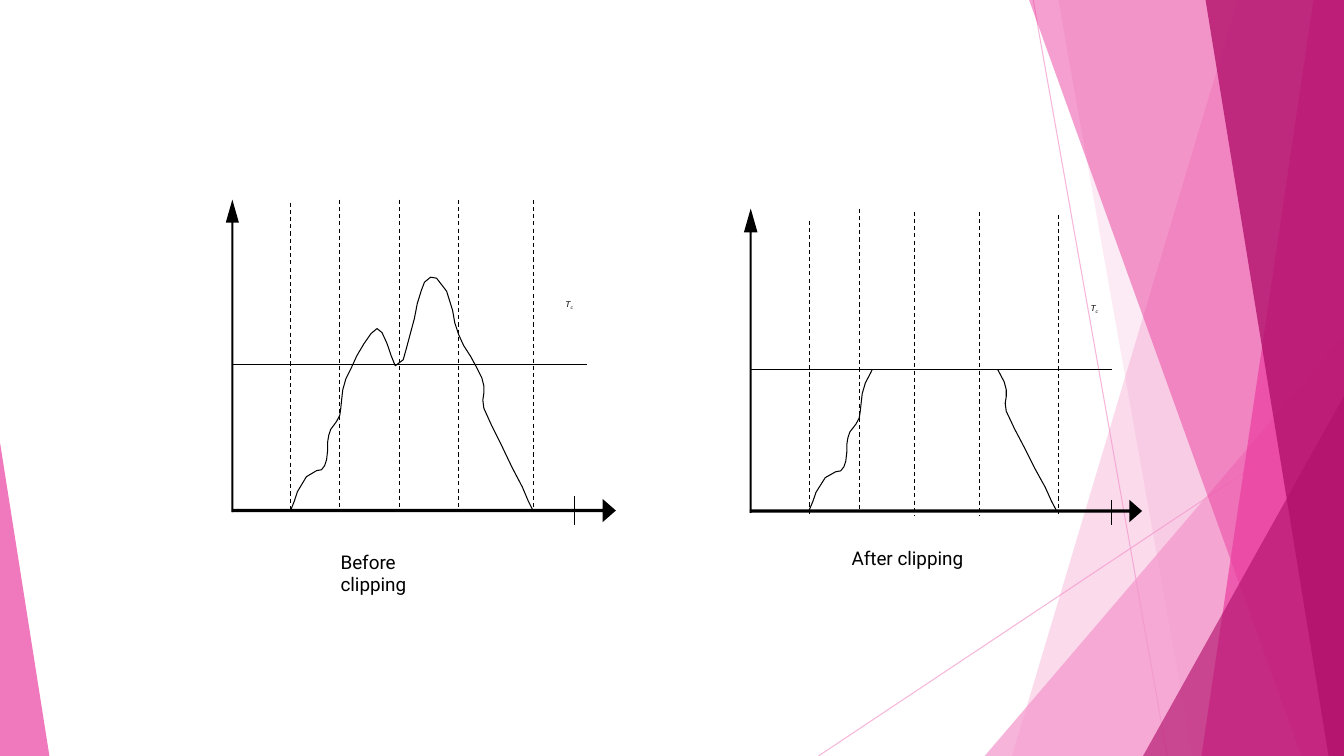
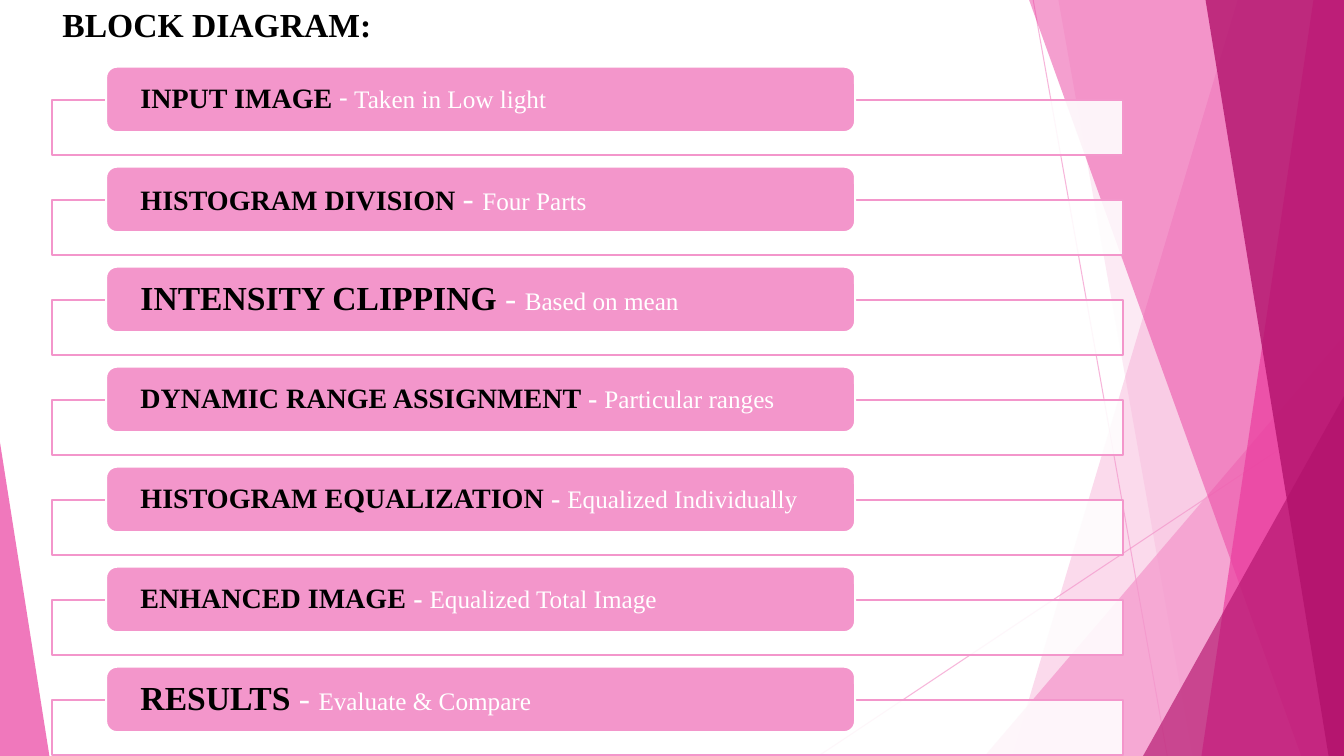
"""Build two slides on histogram clipping and its block diagram."""
import itertools

import lxml.etree
import pptx
import pptx.dml.color
import pptx.enum.dml
import pptx.enum.shapes
import pptx.enum.text
import pptx.oxml.ns
import pptx.util

Pt = pptx.util.Pt
SHAPES = pptx.enum.shapes.MSO_SHAPE
ANCHOR = pptx.enum.text.MSO_ANCHOR
WIDTH, HEIGHT = 960, 540
SERIF, SANS, LABEL = "Times New Roman", "Roboto", "Arial"
COLORS = {
    "black": "000000",
    "white": "FFFFFF",
    "light": "F496CB",
    "tab": "F396CB",
    "pink": "EA3C9E",
    "deep": "B2126C",
}

CURVE = [
    (0, 0), (2.9, 7.2), (5, 13.7), (11.5, 24.5), (18.7, 28.8), (22.3, 29.5),
    (24.5, 32.4), (25.9, 36.7), (26.6, 43.2), (26.6, 49), (27.4, 54),
    (28.8, 58.3), (31, 61.2), (33.1, 64.1), (35.3, 68.4), (36, 73.4),
    (36.7, 79.9), (37.4, 86.4), (39.6, 94.3), (43.2, 101.5), (47.5, 110.9),
    (52.6, 119.5), (57.6, 126.7), (61.9, 130.3), (65.5, 127.4), (69.1, 119.5),
    (72, 110.9), (74.9, 103.7), (80.6, 108), (82.8, 115.9), (85.7, 126.7),
    (88.6, 137.5), (90.7, 148.3), (93.6, 157.7), (95.8, 163.4), (100.1, 167),
    (104.4, 166.3), (111.6, 157), (115.9, 143.3), (117.4, 134.6), (120.2, 126),
    (123.8, 118.1), (128.9, 110.2), (133.2, 102.2), (136.8, 95), (138.2, 89.3),
    (138.2, 84.2), (137.5, 79.2), (138.2, 73.4), (141.1, 67), (144, 60.5),
    (147.6, 53.3), (151.2, 46.1), (158.4, 31), (165.6, 17.3), (169.9, 7.2),
    (173.5, 0),
]

PLOTS = [
    {
        "origin": (207.4, 365), "scale": (1, 1), "clipped": False,
        "guides": [(207.4, 144.7, 365), (242.6, 142.6, 365), (285.1, 142.6, 365),
                   (327.6, 142.6, 365), (380.9, 142.6, 363)],
        "level": (166.3, 419, 260.6), "tick": (410.4, 354.2, 375.1),
        "across": (165.6, 356.4, 274.3, 16.6), "upward": (161.3, 142.6, 9.4, 223.2),
        "label": (403.9, 213.8, 12.2, 29.5),
        "caption": ("Before clipping", (236.2, 389.5, 93.6, 40.3)),
    },
    {
        "origin": (577.8, 365), "scale": (1.02, 0.97), "clipped": True,
        "guides": [(578.2, 157.7, 367.2), (614.2, 149, 365), (653, 151.2, 367.9),
                   (699.8, 151.2, 367.9), (756, 153.4, 367.2)],
        "level": (535.7, 794.2, 264.2), "tick": (794.2, 357.1, 375.1),
        "across": (535.7, 357.1, 280.1, 15.8), "upward": (531.4, 149, 9.7, 217.4),
        "label": (779, 216.7, 12.2, 28.1),
        "caption": ("After clipping", (601.2, 386.6, 123.1, 23.8)),
    },
]

STEPS = [
    ("INPUT IMAGE ", 20, SANS, False, "Taken in Low light"),
    ("HISTOGRAM DIVISION ", 20, SERIF, False, "Four Parts"),
    ("INTENSITY CLIPPING ", 24, SERIF, False, "Based on mean"),
    ("DYNAMIC RANGE ASSIGNMENT ", 20, SERIF, True, "Particular ranges"),
    ("HISTOGRAM EQUALIZATION ", 20, SERIF, True, "Equalized Individually"),
    ("ENHANCED IMAGE ", 20, SERIF, True, "Equalized Total Image"),
    ("RESULTS ", 24, SERIF, False, "Evaluate & Compare"),
]


def rgb(name):
    """Return the named colour."""
    return pptx.dml.color.RGBColor.from_string(COLORS[name])


def set_alpha(shape, percent):
    """Make the first colour of a shape partly transparent."""
    color = shape.element.xpath(".//a:srgbClr")[0]
    alpha = lxml.etree.SubElement(color, pptx.oxml.ns.qn("a:alpha"))
    alpha.set("val", str(percent * 1000))


def paint(shape, fill=None, line=None, weight=0.75, alpha=100):
    """Set the fill and outline of a shape and drop its shadow."""
    shape.shadow.inherit = False
    if fill:
        shape.fill.solid()
        shape.fill.fore_color.rgb = rgb(fill)
    else:
        shape.fill.background()
    if line:
        shape.line.color.rgb = rgb(line)
        shape.line.width = Pt(weight)
    else:
        shape.line.fill.background()
    if alpha < 100:
        set_alpha(shape, alpha)


def add_preset(page, kind, frame, adjustments=(), **style):
    """Add a painted preset shape."""
    shape = page.shapes.add_shape(kind, *map(Pt, frame))
    for index, value in enumerate(adjustments):
        shape.adjustments[index] = value
    paint(shape, **style)
    return shape


def add_outline(page, points, close=False, **style):
    """Add a painted freeform through the points."""
    start, *rest = [(Pt(x), Pt(y)) for x, y in points]
    builder = page.shapes.build_freeform(*start)
    builder.add_line_segments(rest, close=close)
    paint(builder.convert_to_shape(), **style)


def add_line(page, start, end, color="black", weight=0.75, dashed=False):
    """Add a straight line without a shadow."""
    line = page.shapes.add_connector(
        pptx.enum.shapes.MSO_CONNECTOR.STRAIGHT, *map(Pt, start + end))
    line.line.color.rgb = rgb(color)
    line.line.width = Pt(weight)
    if dashed:
        line.line.dash_style = pptx.enum.dml.MSO_LINE.DASH
    properties = line.element.xpath("p:spPr")[0]
    lxml.etree.SubElement(properties, pptx.oxml.ns.qn("a:effectLst"))
    return line


def set_frame(frame, insets, anchor=ANCHOR.TOP):
    """Set wrapping, insets and anchor of a text frame."""
    frame.word_wrap = True
    frame.auto_size = pptx.enum.text.MSO_AUTO_SIZE.NONE
    frame.margin_left = frame.margin_right = Pt(insets[0])
    frame.margin_top = frame.margin_bottom = Pt(insets[1])
    frame.vertical_anchor = anchor


def add_span(para, text, size, font, color="black", bold=False, italic=False):
    """Add a formatted run to a paragraph."""
    span = para.add_run()
    span.text = text
    span.font.size = Pt(size)
    span.font.name = font
    span.font.bold = bold
    span.font.italic = italic
    span.font.color.rgb = rgb(color)
    return span


def add_text(page, frame, insets):
    """Add a text box and return its first paragraph."""
    box = page.shapes.add_textbox(*map(Pt, frame))
    set_frame(box.text_frame, insets)
    return box.text_frame.paragraphs[0]


def add_blade(page, color, alpha, top, bottom):
    """Add a band from a slanted left edge to the right side."""
    points = [(top, 0), (WIDTH, 0), (WIDTH, HEIGHT), (bottom, HEIGHT)]
    add_outline(page, points, close=True, fill=color, alpha=alpha)


def add_wedge(page, color, alpha, left, top, right=WIDTH, apex=1):
    """Add a right-angled triangle that stands on the bottom edge."""
    add_preset(page, SHAPES.ISOSCELES_TRIANGLE,
               (left, top, right - left, HEIGHT - top), [apex], fill=color, alpha=alpha)


def decorate_master(deck, page):
    """Draw the shared facets on a blank page and move them to the master."""
    for start, end in [((738, 0), (833.8, HEIGHT)), ((WIDTH, 290.2), (584.6, HEIGHT))]:
        set_alpha(add_line(page, start, end, "light"), 69)
    add_blade(page, "light", 35, 884.2, 722.9)
    add_blade(page, "light", 20, 756, 851.8)
    add_wedge(page, "light", 71, 703.4, 239.8)
    add_blade(page, "pink", 49, 735.1, 929.5)
    add_blade(page, "pink", 69, 938.2, 858.2)
    add_blade(page, "deep", 80, 861.1, 949)
    add_wedge(page, "deep", 65, 816.5, 283)
    add_wedge(page, "pink", 69, 0, 316.1, right=35.3, apex=0)
    for number, shape in enumerate(list(page.shapes), start=100):
        shape.element.xpath(".//p:cNvPr")[0].set("id", str(number))
        deck.slide_master.shapes.element.append(shape.element)


def cut_at(points, level):
    """Return the leading points below the level, ending on the level."""
    below = list(itertools.takewhile(lambda point: point[1] > level, points))
    (x1, y1), (x2, y2) = below[-1], points[len(below)]
    return below + [(x1 + (x2 - x1) * (level - y1) / (y2 - y1), level)]


def add_plot(page, plot):
    """Add one histogram with its axes, guides, threshold and caption."""
    left, base = plot["origin"]
    across, up = plot["scale"]
    start, end, level = plot["level"]
    points = [(left + x * across, base - y * up) for x, y in CURVE]
    curves = [points]
    if plot["clipped"]:
        curves = [cut_at(points, level), cut_at(points[::-1], level)]
    for curve in curves:
        add_outline(page, curve, line="black")
    for x, top, bottom in plot["guides"]:
        add_line(page, (x, top), (x, bottom), dashed=True)
    add_line(page, (start, level), (end, level))
    x, top, bottom = plot["tick"]
    add_line(page, (x, top), (x, bottom), weight=0.81)
    add_preset(page, SHAPES.RIGHT_ARROW, plot["across"], [0.14, 0.57], fill="black")
    add_preset(page, SHAPES.UP_ARROW, plot["upward"], [0.15, 1.75], fill="black")
    para = add_text(page, plot["label"], (0, 0))
    add_span(para, "T", 6, LABEL, italic=True)
    index = add_span(para, "c", 6, LABEL, italic=True)
    index.font._element.set("baseline", "-25000")
    caption, frame = plot["caption"]
    add_span(add_text(page, frame, (7.2, 3.6)), caption, 13.5, SANS)


def add_title(page, text):
    """Place and format the title placeholder."""
    title = page.shapes.title
    title.left, title.top, title.width, title.height = map(Pt, (37.4, -0.7, 241.2, 36))
    set_frame(title.text_frame, (7.2, 3.6))
    para = title.text_frame.paragraphs[0]
    para.alignment = pptx.enum.text.PP_ALIGN.LEFT
    add_span(para, text, 24, SERIF, bold=True)


def add_step(page, top, step):
    """Add one block: an open panel with a labelled tab."""
    heading, size, dash_font, dash_bold, detail = step
    dash_size = 24 if heading.startswith("HISTOGRAM DIV") else size
    add_preset(page, SHAPES.RECTANGLE, (37.4, top + 23.8, 764.6, 39.6),
               fill="white", line="tab", weight=1.5, alpha=89)
    tab = add_preset(page, SHAPES.ROUNDED_RECTANGLE, (75.8, top, 535, 46.8),
                     fill="tab", line="white", weight=1.5)
    set_frame(tab.text_frame, (22.3, 0), ANCHOR.MIDDLE)
    para = tab.text_frame.paragraphs[0]
    para.alignment = pptx.enum.text.PP_ALIGN.LEFT
    para.line_spacing = 0.9
    add_span(para, heading, size, SERIF, bold=True)
    add_span(para, "- ", dash_size, dash_font, "white", bold=dash_bold)
    add_span(para, detail, 18, SERIF, "white")


def main():
    """Build and save the deck."""
    deck = pptx.Presentation()
    deck.slide_width, deck.slide_height = Pt(WIDTH), Pt(HEIGHT)
    title_only, blank = deck.slide_layouts[5], deck.slide_layouts[6]

    page = deck.slides.add_slide(blank)
    decorate_master(deck, page)
    for plot in PLOTS:
        add_plot(page, plot)

    page = deck.slides.add_slide(title_only)
    for row, step in enumerate(STEPS):
        add_step(page, 47.6 + 71.43 * row, step)
    add_title(page, "BLOCK DIAGRAM:")

    deck.save("out.pptx")


if __name__ == "__main__":
    main()
